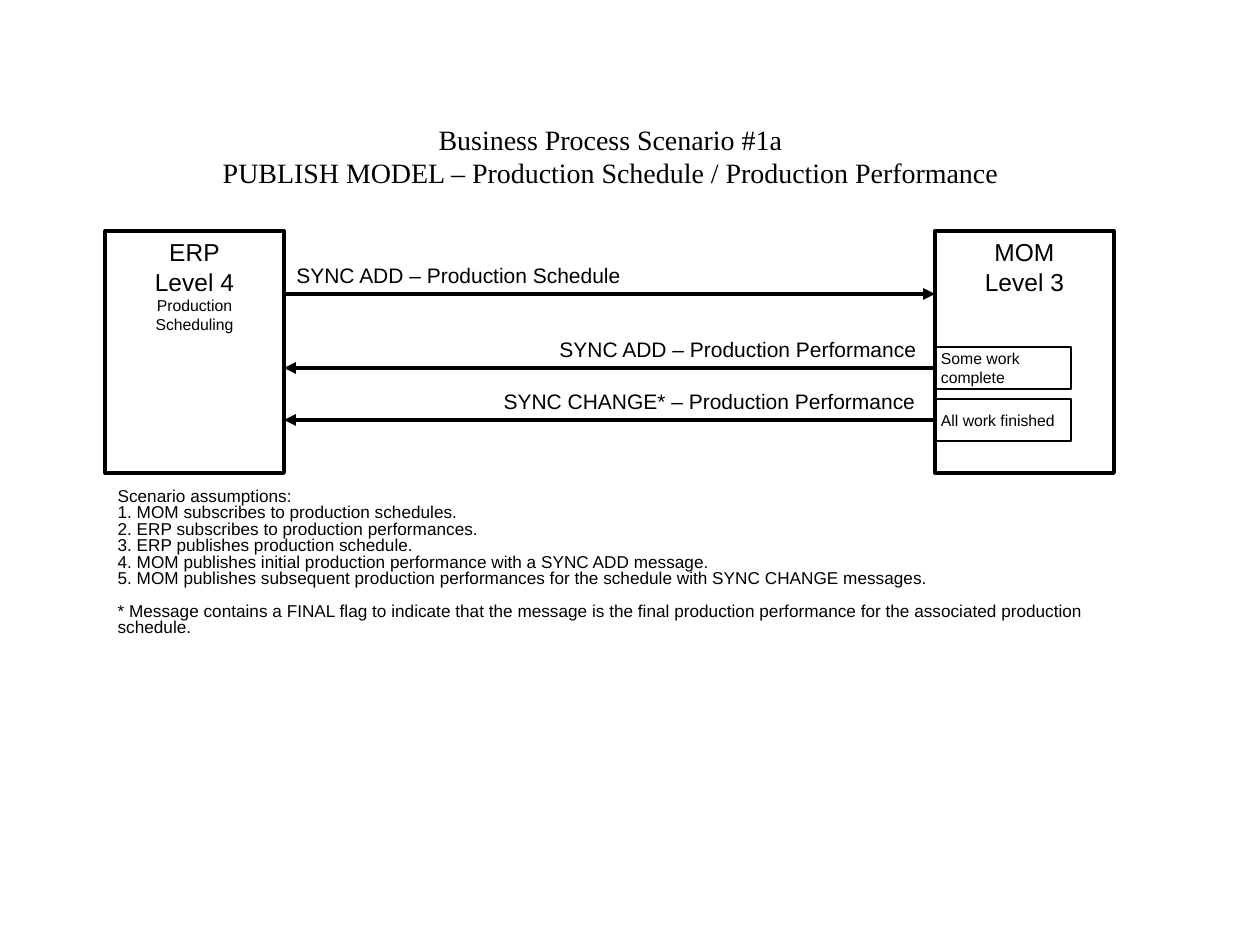
"""Build the publish-model message flow slide between ERP and MOM."""
from lxml import etree
from pptx import Presentation
from pptx.dml.color import RGBColor
from pptx.enum.shapes import MSO_CONNECTOR, MSO_SHAPE
from pptx.enum.text import MSO_ANCHOR, MSO_AUTO_SIZE, PP_ALIGN
from pptx.oxml.ns import qn
from pptx.util import Emu, Pt

LEFT, CENTER, RIGHT = PP_ALIGN.LEFT, PP_ALIGN.CENTER, PP_ALIGN.RIGHT
TOP, MIDDLE = MSO_ANCHOR.TOP, MSO_ANCHOR.MIDDLE
RECTANGLE, STRAIGHT = MSO_SHAPE.RECTANGLE, MSO_CONNECTOR.STRAIGHT
NO_AUTOFIT = MSO_AUTO_SIZE.NONE

COLORS = {"ink": "000000"}
SANS, SERIF = "Arial", "Times New Roman"

TITLE = ["Business Process Scenario #1a",
         "PUBLISH MODEL – Production Schedule / Production Performance"]
SYSTEMS = [
    (105, [("ERP", 14), ("Level 4", 14), ("Production Scheduling", 9)]),
    (935, [("MOM", 14), ("Level 3", 14)]),
]
MESSAGES = [
    ("SYNC ADD – Production Schedule", 294, "tailEnd", LEFT, 284, 350),
    ("SYNC ADD – Production Performance", 368, "headEnd", RIGHT, 546, 383),
    ("SYNC CHANGE* – Production Performance", 420, "headEnd", RIGHT, 491, 437),
]
EVENTS = [(["Some work", "complete"], 368), (["All work finished"], 420)]
ASSUMPTIONS = [
    "Scenario assumptions:",
    "1. MOM subscribes to production schedules.",
    "2. ERP subscribes to production performances.",
    "3. ERP publishes production schedule.",
    "4. MOM publishes initial production performance with a SYNC ADD message.",
    "5. MOM publishes subsequent production performances for the schedule "
    "with SYNC CHANGE messages.",
    "* Message contains a FINAL flag to indicate that the message is the final "
    "production performance for the associated production schedule.",
]

SYSTEM_TOP, SYSTEM_WIDTH, SYSTEM_HEIGHT = 231, 179, 242
EVENT_WIDTH, EVENT_HEIGHT = 136, 42
LABEL_HEIGHT = 38


def px(length):
    return Emu(round(length * 914400 / 126))


def ink():
    return RGBColor.from_string(COLORS["ink"])


def place(part, left, top, width, height):
    part.left, part.top = px(left), px(top)
    part.width, part.height = px(width), px(height)


def write(part, lines, font=SANS, align=LEFT, anchor=TOP, wrap=True, margin=None):
    frame = part.text_frame
    frame.text = "\n".join(text for text, _ in lines)
    frame.word_wrap = wrap
    frame.auto_size = NO_AUTOFIT
    frame.vertical_anchor = anchor
    if margin is not None:
        frame.margin_left = frame.margin_right = px(margin)
    for paragraph, (_, size) in zip(frame.paragraphs, lines):
        paragraph.alignment = align
        for run in paragraph.runs:
            run.font.name, run.font.size = font, Pt(size)
            run.font.color.rgb = ink()


def outline(line, width):
    line.color.rgb = ink()
    line.width = Pt(width)


def add_box(slide, left, top, width, height, line_width):
    box = slide.shapes.add_shape(RECTANGLE, px(left), px(top), px(width), px(height))
    box.shadow.inherit = False
    box.fill.background()
    outline(box.line, line_width)
    return box


def add_arrow(slide, start, end, y, head):
    arrow = slide.shapes.add_connector(STRAIGHT, px(start), px(y), px(end), px(y))
    outline(arrow.line, 2.25)
    etree.SubElement(arrow.line._get_or_add_ln(), qn(f"a:{head}"), type="triangle")
    etree.SubElement(arrow._element.spPr, qn("a:effectLst"))


def fill_assumptions(body):
    place(body, 105, 483, 1008, 220)
    write(body, [(text, 9.8) for text in ASSUMPTIONS])
    for paragraph in body.text_frame.paragraphs:
        properties = paragraph._p.get_or_add_pPr()
        properties.set("marL", "0")
        properties.set("indent", "0")
        etree.SubElement(properties, qn("a:buNone"))
        paragraph.line_spacing = 0.8
        paragraph.space_before = Pt(0)
    paragraph.space_before = Pt(9)


def main():
    deck = Presentation()
    deck.slide_width, deck.slide_height = px(1260), px(945)
    slide = deck.slides.add_slide(deck.slide_layouts[1])
    title, body = slide.placeholders

    place(title, 210, 116, 801, 81)
    write(title, [(text, 16) for text in TITLE], SERIF, CENTER, wrap=False)

    for left, lines in SYSTEMS:
        box = add_box(slide, left, SYSTEM_TOP, SYSTEM_WIDTH, SYSTEM_HEIGHT, 2.25)
        write(box, lines, align=CENTER)

    erp_edge, mom_edge = SYSTEMS[0][0] + SYSTEM_WIDTH, SYSTEMS[1][0]
    for text, y, head, align, left, width in MESSAGES:
        add_arrow(slide, erp_edge, mom_edge, y, head)
        label = slide.shapes.add_textbox(
            px(left), px(y - LABEL_HEIGHT), px(width), px(LABEL_HEIGHT))
        write(label, [(text, 12)], align=align, wrap=False)

    fill_assumptions(body)

    for lines, y in EVENTS:
        event = add_box(slide, mom_edge, y - EVENT_HEIGHT / 2,
                        EVENT_WIDTH, EVENT_HEIGHT, 0.75)
        write(event, [(text, 9) for text in lines],
              anchor=MIDDLE, wrap=False, margin=6)

    deck.save("out.pptx")


if __name__ == "__main__":
    main()
